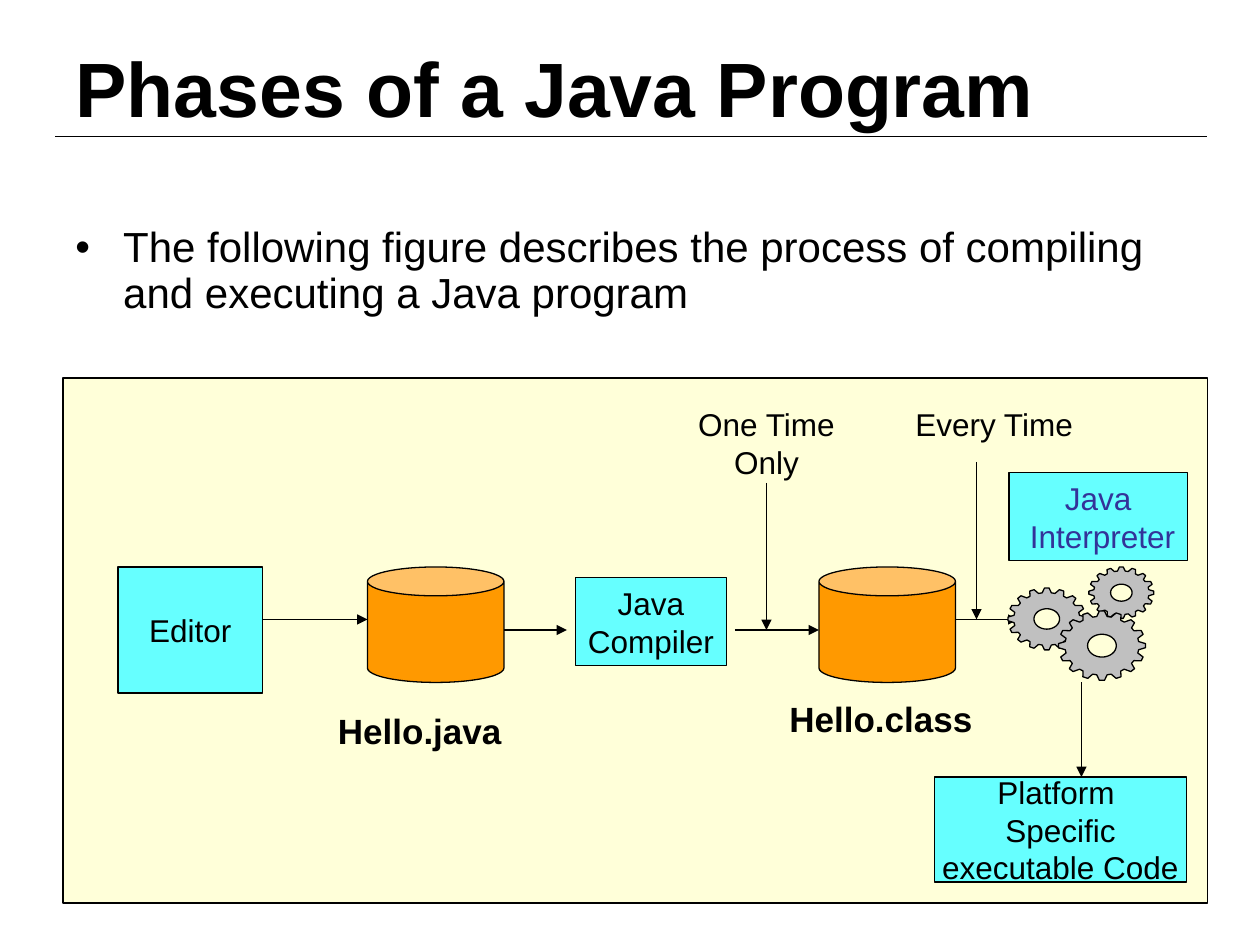
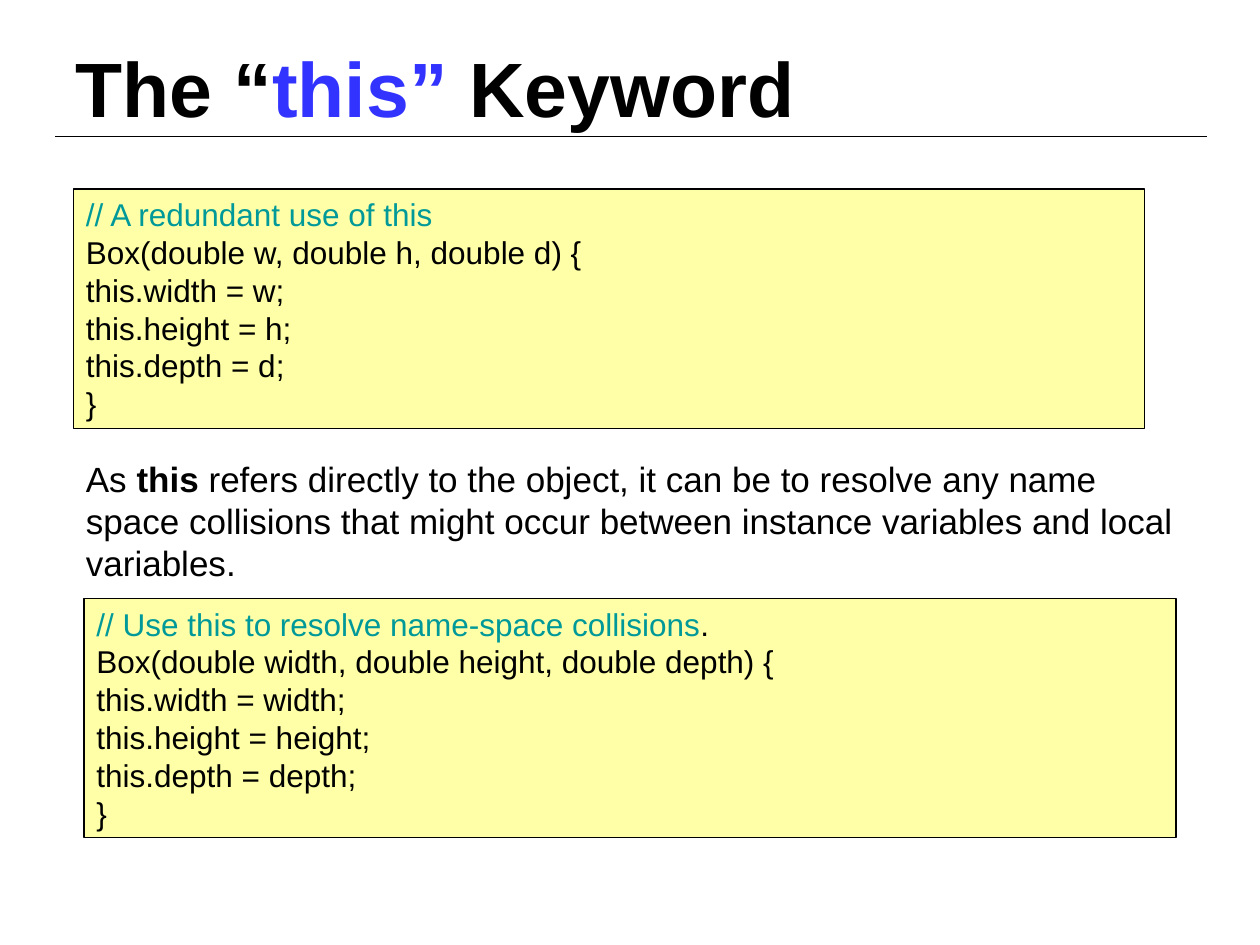
"""Build two Java lecture slides: program phases and the this keyword."""
from math import cos, pi, sin
from typing import NamedTuple

from lxml.etree import SubElement
from pptx import Presentation
from pptx.dml.color import RGBColor
from pptx.enum.shapes import MSO_CONNECTOR, MSO_SHAPE
from pptx.enum.text import MSO_ANCHOR, PP_ALIGN
from pptx.oxml.ns import qn
from pptx.util import Inches, Pt

COLORS = {
    "ink": "000000",
    "panel": "FFFFD9",
    "code": "FFFFA7",
    "step": "66FFFF",
    "file": "FF9900",
    "gear": "C0C0C0",
    "interpreter": "333399",
    "keyword": "3333FF",
    "comment": "009999",
}
FONT = "Arial"
CELLS_PER_INCH = 12
COLUMNS, ROWS = 10 * CELLS_PER_INCH, 7.5 * CELLS_PER_INCH
TEETH = 16
TOOTH_PROFILE = ((-0.14, 0.85), (-0.06, 1), (0.06, 1), (0.14, 0.85))
HOLE_SHARE = 0.33
HOLE_POINTS = 32


class Area(NamedTuple):
    """Left, top, width and height in grid cells."""

    left: float
    top: float
    width: float
    height: float


class Arrow(NamedTuple):
    """Start and end of an arrow in grid cells."""

    start_column: float
    start_row: float
    end_column: float
    end_row: float


class Run(NamedTuple):
    """Text with its own colour and weight."""

    text: str
    color: str = "ink"
    bold: bool = False


class Step(NamedTuple):
    """Box of one phase with its lines of text."""

    area: Area
    lines: tuple[str, ...]
    color: str = "ink"


class Label(NamedTuple):
    """Free text beside the diagram."""

    area: Area
    text: str
    size: int = 18
    bold: bool = False
    align: PP_ALIGN = PP_ALIGN.LEFT


class Listing(NamedTuple):
    """Code box with its lines."""

    area: Area
    comment: tuple[Run, ...]
    code: tuple[str, ...]


TITLE_AREA = Area(6, 3.6, COLUMNS - 12, 9.4)
TITLE_RULE = Arrow(5.25, 13, 115, 13)
INTRO_AREA = Area(6, 21, COLUMNS - 12, 19.4)
PANEL_AREA = Area(6, 36, 109, 50)

FILES = (Area(35, 54, 13, 11), Area(78, 54, 13, 11))
STEPS = (
    Step(Area(11.25, 54, 13.75, 12), ("Editor",)),
    Step(Area(54.8, 55, 14.4, 8.4), ("Java", "Compiler")),
    Step(Area(89, 74, 24, 10), ("Platform ", "Specific", "executable Code")),
    Step(Area(96.1, 45, 17, 8.4), ("Java", " Interpreter"), "interpreter"),
)
LABELS = (
    Label(Area(64, 38, 18, 8.4), "One Time Only", align=PP_ALIGN.CENTER),
    Label(Area(86, 38, 18, 4.8), "Every Time"),
    Label(Area(31, 67, 21, 5.3), "Hello.java", 20, True),
    Label(Area(74, 65.8, 22, 5.3), "Hello.class", 20, True),
)
ARROWS = (
    Arrow(25, 59, 35, 59),
    Arrow(48, 60, 54, 60),
    Arrow(70, 60, 78, 60),
    Arrow(91, 59, 97, 59),
    Arrow(73, 46, 73, 60),
    Arrow(93, 44, 93, 59),
    Arrow(103, 65, 103, 74),
)
GEARS = (
    Area(103.7, 54, 6.2, 4.9),
    Area(96, 56, 7.4, 5.9),
    Area(100.8, 58.2, 8.3, 6.6),
)

LISTINGS = (
    Listing(
        Area(7, 18, 102, 22.8),
        (Run("// A redundant use of this", "comment"),),
        ("Box(double w, double h, double d) {", "this.width = w;",
         "this.height = h;", "this.depth = d;", "}"),
    ),
    Listing(
        Area(8, 57, 104, 22.8),
        (Run("// Use this to resolve name-space collisions", "comment"), Run(".")),
        ("Box(double width, double height, double depth) {", "this.width = width;",
         "this.height = height;", "this.depth = depth;", "}"),
    ),
)
EXPLANATION_AREA = Area(7, 43, 107, 13.2)
EXPLANATION = (
    Run("As "),
    Run("this ", bold=True),
    Run("refers directly to the object, it can be to resolve any name space "
        "collisions that might occur between instance variables and local variables."),
)


def cells(count: float) -> int:
    """Convert grid cells to a length."""
    return Inches(count / CELLS_PER_INCH)


def rgb(name: str) -> RGBColor:
    """Look up a named colour."""
    return RGBColor.from_string(COLORS[name])


def write(shape, paragraphs, *, size=18, align=PP_ALIGN.LEFT, anchor=MSO_ANCHOR.TOP,
          wrap=True, line_spacing=None, bullet=False) -> None:
    """Fill a shape with paragraphs made of runs."""
    frame = shape.text_frame
    frame.word_wrap = wrap
    frame.vertical_anchor = anchor
    for index, runs in enumerate(paragraphs):
        paragraph = frame.paragraphs[0] if index == 0 else frame.add_paragraph()
        if bullet:
            add_bullet(paragraph)
        paragraph.alignment = align
        paragraph.line_spacing = line_spacing
        for item in runs:
            run = paragraph.add_run()
            run.text = item.text
            run.font.name = FONT
            run.font.size = Pt(size)
            run.font.bold = item.bold
            run.font.color.rgb = rgb(item.color)


def add_bullet(paragraph) -> None:
    """Give a paragraph a round bullet and a hanging indent."""
    properties = paragraph._p.get_or_add_pPr()
    indent = Inches(0.38)
    properties.set("marL", str(indent))
    properties.set("indent", str(-indent))
    SubElement(properties, qn("a:buFont"), typeface=FONT)
    SubElement(properties, qn("a:buChar"), char="•")


def add_text(slide, area: Area, paragraphs, **text_format) -> None:
    """Add a text box on the grid."""
    write(slide.shapes.add_textbox(*map(cells, area)), paragraphs, **text_format)


def paint(shape, fill: str) -> None:
    """Give a shape a flat fill and a thin outline."""
    shape.shadow.inherit = False
    shape.fill.solid()
    shape.fill.fore_color.rgb = rgb(fill)
    shape.line.color.rgb = rgb("ink")
    shape.line.width = Pt(0.75)


def add_figure(slide, area: Area, fill: str, kind=MSO_SHAPE.RECTANGLE):
    """Add a painted preset shape on the grid."""
    shape = slide.shapes.add_shape(kind, *map(cells, area))
    paint(shape, fill)
    return shape


def add_line(slide, arrow: Arrow, *, head: bool = True) -> None:
    """Add a straight line, with an arrowhead unless told otherwise."""
    connector = slide.shapes.add_connector(MSO_CONNECTOR.STRAIGHT, *map(cells, arrow))
    connector.line.color.rgb = rgb("ink")
    connector.line.width = Pt(0.75)
    if head:
        SubElement(connector.line._get_or_add_ln(), qn("a:tailEnd"), type="triangle")
    SubElement(connector._element.spPr, qn("a:effectLst"))


def add_gear(slide, area: Area) -> None:
    """Add a toothed wheel with a round hole."""
    radius_x, radius_y = area.width / 2, area.height / 2

    def point(angle: float, share: float) -> tuple[int, int]:
        """Place a point by its angle from the top and share of the radius."""
        return (cells(area.left + radius_x * (1 + share * sin(angle))),
                cells(area.top + radius_y * (1 - share * cos(angle))))

    rim = [point(2 * pi * tooth / TEETH + offset, share)
           for tooth in range(TEETH) for offset, share in TOOTH_PROFILE]
    hole = [point(-2 * pi * step / HOLE_POINTS, HOLE_SHARE) for step in range(HOLE_POINTS)]
    builder = slide.shapes.build_freeform(*rim[0])
    builder.add_line_segments(rim[1:], close=True)
    builder.move_to(*hole[0])
    builder.add_line_segments(hole[1:], close=True)
    paint(builder.convert_to_shape(), "gear")


def add_titled_slide(presentation, *title: Run):
    """Add a blank slide with the shared title and rule."""
    slide = presentation.slides.add_slide(presentation.slide_layouts[6])
    add_line(slide, TITLE_RULE, head=False)
    add_text(slide, TITLE_AREA, [title], size=44, anchor=MSO_ANCHOR.MIDDLE)
    return slide


def build_phases(presentation) -> None:
    """Draw the path from editor to executable code."""
    slide = add_titled_slide(presentation, Run("Phases of a Java Program", bold=True))
    intro = Run("The following figure describes the process of compiling "
                "and executing a Java program")
    add_text(slide, INTRO_AREA, [[intro]], size=24, line_spacing=0.9, bullet=True)
    add_figure(slide, PANEL_AREA, "panel")
    for area in FILES:
        add_figure(slide, area, "file", MSO_SHAPE.CAN)
    for label in LABELS:
        add_text(slide, label.area, [[Run(label.text, bold=label.bold)]],
                 size=label.size, align=label.align)
    for arrow in ARROWS:
        add_line(slide, arrow)
    for gear in GEARS:
        add_gear(slide, gear)
    for step in STEPS:
        write(add_figure(slide, step.area, "step"),
              [[Run(line, step.color)] for line in step.lines],
              align=PP_ALIGN.CENTER, anchor=MSO_ANCHOR.MIDDLE, wrap=False)


def build_keyword(presentation) -> None:
    """Show two uses of the this keyword."""
    slide = add_titled_slide(presentation, Run("The “", bold=True),
                             Run("this”", "keyword", True), Run(" Keyword", bold=True))
    for listing in LISTINGS:
        write(add_figure(slide, listing.area, "code"),
              [listing.comment, *([Run(line)] for line in listing.code)])
    add_text(slide, EXPLANATION_AREA, [EXPLANATION], size=20)


def main() -> None:
    """Build and save the presentation."""
    presentation = Presentation()
    presentation.slide_width, presentation.slide_height = cells(COLUMNS), cells(ROWS)
    build_phases(presentation)
    build_keyword(presentation)
    presentation.save("out.pptx")


if __name__ == "__main__":
    main()
